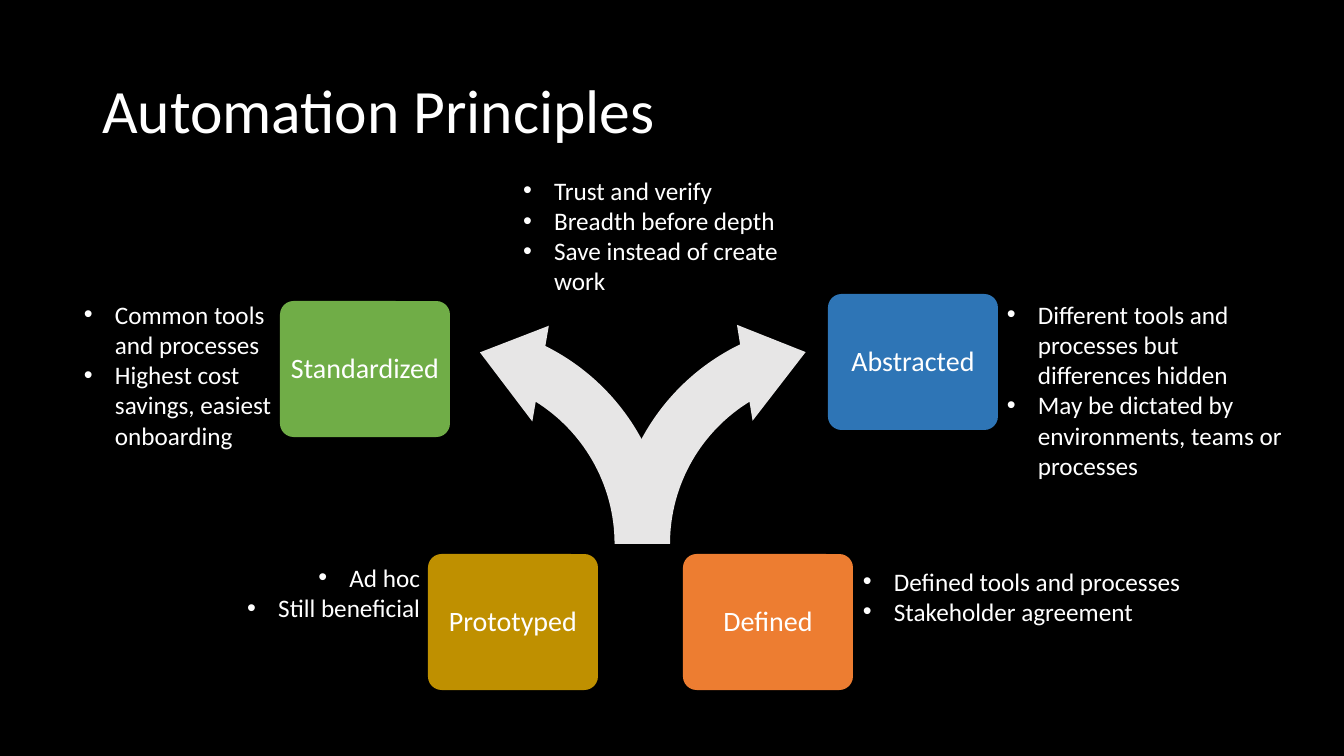
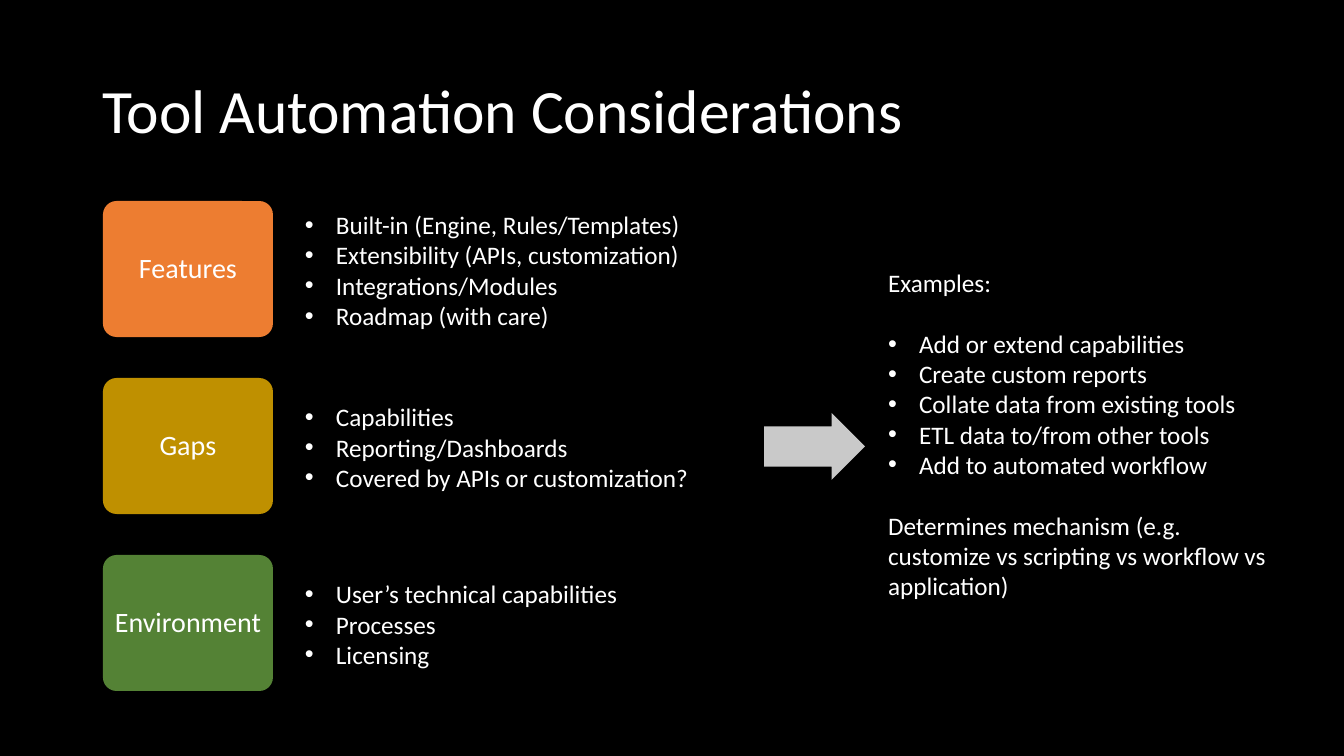
"""Build two slides on automation: principles and tool considerations."""
from dataclasses import dataclass
from lxml.etree import SubElement
from pptx import Presentation
from pptx.dml.color import RGBColor as Rgb
from pptx.enum.shapes import MSO_SHAPE as Shape
from pptx.enum.text import MSO_ANCHOR as Anchor, MSO_AUTO_SIZE as Fit, PP_ALIGN as Align
from pptx.oxml.ns import qn
from pptx.util import Emu, Pt


@dataclass(frozen=True)
class Theme:
    font: str = "Calibri"
    title_size: int = 44
    label_size: int = 20
    list_size: int = 18
    back: str = "000000"
    text: str = "FFFFFF"
    blue: str = "2E75B6"
    orange: str = "ED7D31"
    light_green: str = "70AD47"
    dark_green: str = "548235"
    gold: str = "BF9000"
    fork: str = "E7E6E6"
    arrow: str = "C9C9C9"


THEME = Theme()
SCALE = 914400 / 100.8
PAGE_SIZE = 1344, 756
TITLE_AREA = 92, 41, 1159, 146
BOX_SIZE = 170, 136
BOX_CORNER = 0.1
BOX_INSET = 3
BULLET_INDENT = 31
BLANK_LINE = 22

PRINCIPLES = "Automation Principles"
PRINCIPLE_LIST = ["Trust and verify", "Breadth before depth", "Save instead of create work"]
PRINCIPLE_AREA = 513, 170, 313, 132
STAGES = [
    ("Abstracted", THEME.blue, (828, 294), (997, 294, 308, 194), Align.LEFT,
     ["Different tools and processes but differences hidden",
      "May be dictated by environments, teams or processes"]),
    ("Defined", THEME.orange, (683, 554), (853, 561, 411, 72), Align.LEFT,
     ["Defined tools and processes", "Stakeholder agreement"]),
    ("Standardized", THEME.light_green, (280, 301), (74, 294, 236, 163), Align.LEFT,
     ["Common tools and processes", "Highest cost savings, easiest onboarding"]),
    ("Prototyped", THEME.gold, (428, 554), (80, 557, 350, 72), Align.RIGHT,
     ["Ad hoc", "Still beneficial"]),
]
FORK_ARROWS = [
    ((594, 301, 486, 486), (0.113, 11.423, 145.021, 108, 0.1), False),
    ((204, 301, 486, 486), (0.11, 11.423, 144.713, 108, 0.1), True),
]

CONSIDERATIONS = "Tool Automation Considerations"
TOPICS = [
    ("Features", THEME.orange,
     ["Built-in (Engine, Rules/Templates)", "Extensibility (APIs, customization)",
      "Integrations/Modules", "Roadmap (with care)"]),
    ("Gaps", THEME.gold,
     ["Capabilities", "Reporting/Dashboards", "Covered by APIs or customization?"]),
    ("Environment", THEME.dark_green,
     ["User’s technical capabilities", "Processes", "Licensing"]),
]
TOPIC_LEFT, TOPIC_TOP, TOPIC_STEP = 103, 201, 177
TOPIC_LIST_LEFT, TOPIC_LIST_WIDTH = 295, 411
ARROW_AREA = 764, 413, 101, 67
EXAMPLE_INTRO = "Examples:"
EXAMPLE_LIST = ["Add or extend capabilities", "Create custom reports",
                "Collate data from existing tools", "ETL data to/from other tools",
                "Add to automated workflow"]
EXAMPLE_CLOSE = "Determines mechanism (e.g. customize vs scripting vs workflow vs application)"
EXAMPLE_AREA = 878, 176, 417, 516


def px(*lengths):
    return [Emu(round(length * SCALE)) for length in lengths]


def set_all(target, formats):
    for name, value in formats.items():
        setattr(target, name, value)


def place(shape, area):
    set_all(shape, dict(zip(("left", "top", "width", "height"), px(*area))))


def write(frame, lines, size, anchor=Anchor.TOP, **formats):
    """Fill a frame with (text, bulleted, space before) lines."""
    set_all(frame, {"word_wrap": True, "auto_size": Fit.NONE, "vertical_anchor": anchor})
    for index, (text, bulleted, gap) in enumerate(lines):
        para = frame.add_paragraph() if index else frame.paragraphs[0]
        set_all(para, {"alignment": Align.LEFT, "space_before": Pt(gap), **formats})
        indent = px(BULLET_INDENT)[0] if bulleted else 0
        props = para._p.get_or_add_pPr()
        props.set("marL", str(indent))
        props.set("indent", str(-indent))
        if bulleted:
            SubElement(props, qn("a:buFont"), typeface="Arial")
            SubElement(props, qn("a:buChar"), char="•")
        else:
            SubElement(props, qn("a:buNone"))
        span = para.add_run()
        span.text = text
        set_all(span.font, {"name": THEME.font, "size": Pt(size)})
        span.font.color.rgb = Rgb.from_string(THEME.text)


def bullets(texts):
    return [(text, True, 0) for text in texts]


def add_list(page, area, texts, **formats):
    box = page.shapes.add_textbox(*px(*area))
    write(box.text_frame, bullets(texts), THEME.list_size, **formats)


def add_figure(page, kind, area, color, adjustments):
    figure = page.shapes.add_shape(kind, *px(*area))
    figure.shadow.inherit = False
    figure.fill.solid()
    figure.fill.fore_color.rgb = Rgb.from_string(color)
    figure.line.fill.background()
    for index, value in enumerate(adjustments):
        figure.adjustments[index] = value
    return figure


def add_label_box(page, corner, label, color):
    box = add_figure(page, Shape.ROUNDED_RECTANGLE, corner + BOX_SIZE, color, [BOX_CORNER])
    inset = px(BOX_INSET)[0]
    set_all(box.text_frame, {f"margin_{side}": inset for side in ("left", "top", "right", "bottom")})
    write(box.text_frame, [(label, False, 0)], THEME.label_size, Anchor.MIDDLE,
          alignment=Align.CENTER, line_spacing=0.9)


def add_page(deck, title, area, lines, anchor=Anchor.TOP):
    page = deck.slides.add_slide(deck.slide_layouts[1])
    heading, body = page.placeholders
    write(heading.text_frame, [(title, False, 0)], THEME.title_size, Anchor.MIDDLE,
          line_spacing=0.9)
    place(body, area)
    write(body.text_frame, lines, THEME.list_size, anchor)
    return page


def add_principles(deck):
    page = add_page(deck, PRINCIPLES, PRINCIPLE_AREA, bullets(PRINCIPLE_LIST))
    for label, color, corner, area, alignment, texts in STAGES:
        add_label_box(page, corner, label, color)
        add_list(page, area, texts, alignment=alignment)
    for area, adjustments, flipped in FORK_ARROWS:
        arrow = add_figure(page, Shape.CIRCULAR_ARROW, area, THEME.fork, adjustments)
        if flipped:
            arrow.element.spPr.get_or_add_xfrm().set("flipH", "1")


def add_considerations(deck):
    lines = [(EXAMPLE_INTRO, False, 0), *bullets(EXAMPLE_LIST), (EXAMPLE_CLOSE, False, BLANK_LINE)]
    lines[1] = (EXAMPLE_LIST[0], True, BLANK_LINE)
    page = add_page(deck, CONSIDERATIONS, EXAMPLE_AREA, lines, Anchor.MIDDLE)
    for row, (label, color, texts) in enumerate(TOPICS):
        top = TOPIC_TOP + row * TOPIC_STEP
        add_label_box(page, (TOPIC_LEFT, top), label, color)
        area = TOPIC_LIST_LEFT, top + 1, TOPIC_LIST_WIDTH, BOX_SIZE[1]
        add_list(page, area, texts, anchor=Anchor.MIDDLE)
    add_figure(page, Shape.RIGHT_ARROW, ARROW_AREA, THEME.arrow, (0.6, 0.5))


def main():
    deck = Presentation()
    set_all(deck, dict(zip(("slide_width", "slide_height"), px(*PAGE_SIZE))))
    back = deck.slide_master.background.fill
    back.solid()
    back.fore_color.rgb = Rgb.from_string(THEME.back)
    place(deck.slide_layouts[1].placeholders[0], TITLE_AREA)
    add_principles(deck)
    add_considerations(deck)
    deck.save("out.pptx")


if __name__ == "__main__":
    main()
